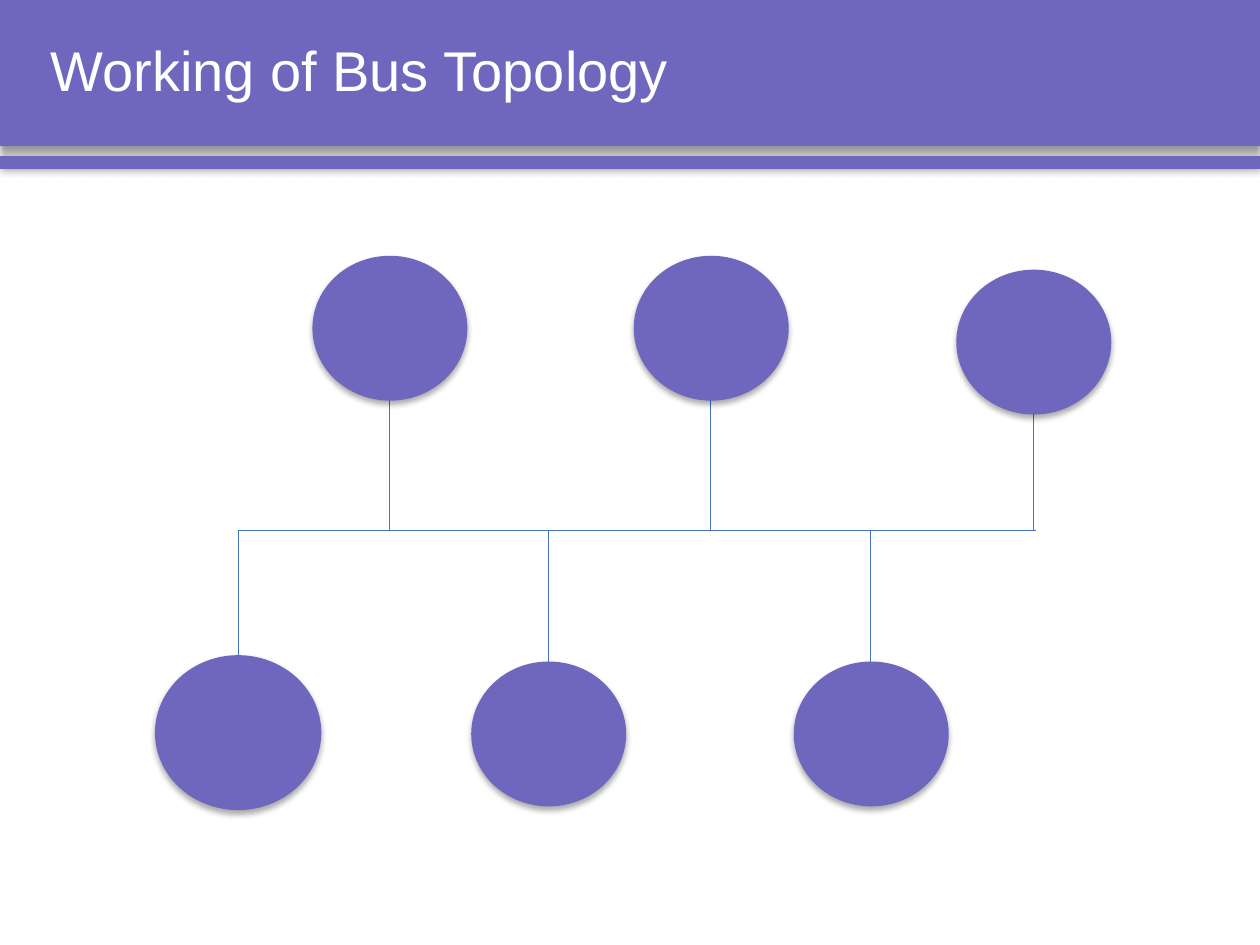
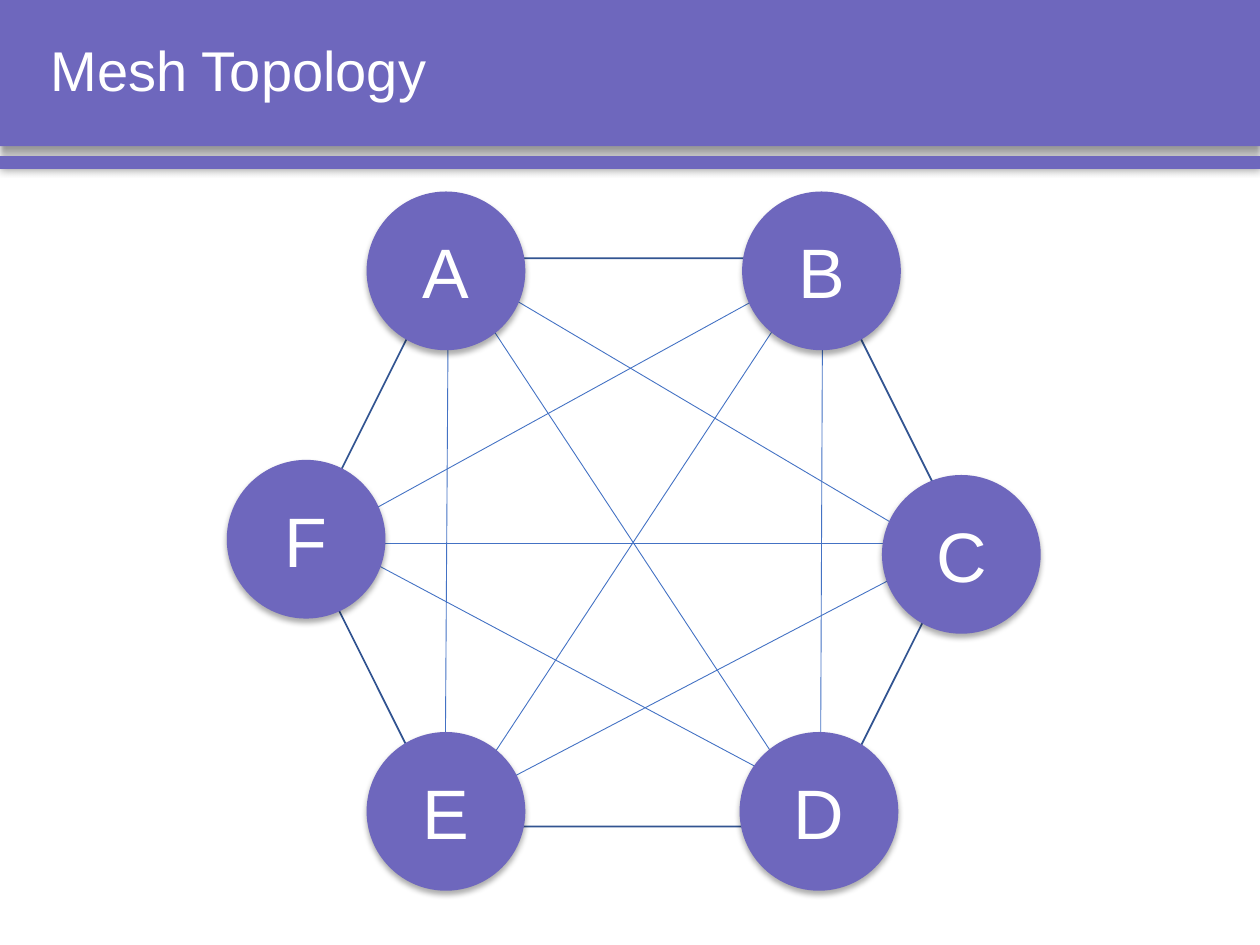
"""Build two slides that show a bus network and a mesh network."""
from dataclasses import dataclass

from lxml import etree
from pptx import Presentation
from pptx import util as u
from pptx.dml.color import RGBColor
from pptx.enum import shapes, text
from pptx.oxml.ns import qn

PX = 9144


@dataclass(frozen=True)
class Theme:
    font: str = "Arial"
    purple: str = "6E67BD"
    white: str = "FFFFFF"
    black: str = "000000"
    link: str = "4472C4"
    ring: str = "325491"
    title_size: int = 32
    letter_size: int = 40
    link_width: float = 0.5
    ring_width: float = 1


THEME = Theme()
PAGE_SIZE = (1000, 750)
TITLE_BOX = (30, 0, 946, 116)
NODE_SHADOW = (32, 3.5, 2.2, 90)
BANDS = [((0, 0, 1000, 116), (40, 4, 3, 90)),
         ((0, 124, 1000, 10), (40, 5, 0, 0))]

BUS_TITLE = "Working of Bus Topology"
BUS_LINE = (822, 421, 189, 421)
BUS_NODES = [(248, 203, 123, 115), (503, 203, 123, 115), (759, 214, 123, 115),
             (123, 520, 132, 123), (374, 525, 123, 115), (630, 525, 123, 115)]

MESH_TITLE = "Mesh Topology"
MESH_RING = (242, 205, 522, 451)
MESH_NODE_SIZE = 126
MESH_NODES = {"A": (291, 152), "B": (589, 152), "C": (700, 377),
              "D": (587, 581), "E": (291, 581), "F": (180, 365)}
MESH_LINKS = [(263, 429, 642, 631), (268, 420, 650, 210), (764, 431, 242, 431),
              (354, 656, 651, 205), (651, 656, 354, 205), (356, 205, 353, 666),
              (653, 205, 651, 666), (353, 205, 750, 440), (372, 635, 781, 421)]


def emu(lengths):
    return [length * PX for length in lengths]


def rgb(name):
    return RGBColor.from_string(name)


def style_text(frame, size):
    frame.vertical_anchor = text.MSO_ANCHOR.MIDDLE
    font = frame.paragraphs[0].runs[0].font
    font.name, font.size, font.color.rgb = THEME.font, u.Pt(size), rgb(THEME.white)


def add_shadow(shape, alpha, blur, distance, angle):
    shape.shadow.inherit = False
    effects = shape.element.spPr.find(qn("a:effectLst"))
    shadow = etree.SubElement(effects, qn("a:outerShdw"), blurRad=str(u.Pt(blur)),
                              dist=str(u.Pt(distance)), dir=str(angle * 60000),
                              algn="ctr", rotWithShape="0")
    color = etree.SubElement(shadow, qn("a:srgbClr"), val=THEME.black)
    etree.SubElement(color, qn("a:alpha"), val=str(alpha * 1000))


def add_solid(page, kind, box, shadow):
    shape = page.shapes.add_shape(kind, *emu(box))
    shape.fill.solid()
    shape.fill.fore_color.rgb = rgb(THEME.purple)
    shape.line.fill.background()
    add_shadow(shape, *shadow)
    return shape


def add_node(page, box, letter=""):
    node = add_solid(page, shapes.MSO_SHAPE.OVAL, box, NODE_SHADOW)
    if letter:
        node.text_frame.text = letter
        node.text_frame.paragraphs[0].alignment = text.PP_ALIGN.CENTER
        style_text(node.text_frame, THEME.letter_size)


def add_link(page, ends):
    link = page.shapes.add_connector(shapes.MSO_CONNECTOR.STRAIGHT, *emu(ends))
    link.line.color.rgb = rgb(THEME.link)
    link.line.width = u.Pt(THEME.link_width)
    etree.SubElement(link.element.spPr, qn("a:effectLst"))


def add_page(deck, title):
    page = deck.slides.add_slide(deck.slide_layouts.get_by_name("Title Only"))
    box = page.shapes.title
    box.left, box.top, box.width, box.height = emu(TITLE_BOX)
    frame = box.text_frame
    frame.text = title
    frame.word_wrap = True
    frame.auto_size = text.MSO_AUTO_SIZE.NONE
    frame.paragraphs[0].alignment = text.PP_ALIGN.LEFT
    frame.paragraphs[0].line_spacing = 0.9
    style_text(frame, THEME.title_size)
    return page


def move_bands_to_layout(page):
    layout = page.slide_layout
    tree = layout.shapes.element
    for holder in list(layout.placeholders):
        if holder.placeholder_format.idx:
            tree.remove(holder.element)
    for position, (box, shadow) in enumerate(BANDS, start=2):
        band = add_solid(page, shapes.MSO_SHAPE.RECTANGLE, box, shadow)
        tree.insert(position, band.element)
        band.element.nvSpPr.cNvPr.set("id", str(position + 8))


def draw_bus(page):
    add_link(page, BUS_LINE)
    bus_y = BUS_LINE[1]
    for left, top, width, height in BUS_NODES:
        center = left + width // 2
        add_link(page, (center, bus_y, center, top + height // 2))
        add_node(page, (left, top, width, height))


def draw_mesh(page):
    ring = page.shapes.add_shape(shapes.MSO_SHAPE.HEXAGON, *emu(MESH_RING))
    ring.shadow.inherit = False
    ring.fill.background()
    ring.line.color.rgb = rgb(THEME.ring)
    ring.line.width = u.Pt(THEME.ring_width)
    for ends in MESH_LINKS:
        add_link(page, ends)
    for letter, corner in MESH_NODES.items():
        add_node(page, (*corner, MESH_NODE_SIZE, MESH_NODE_SIZE), letter)


def main():
    deck = Presentation()
    deck.slide_width, deck.slide_height = emu(PAGE_SIZE)
    bus_page = add_page(deck, BUS_TITLE)
    move_bands_to_layout(bus_page)
    draw_bus(bus_page)
    draw_mesh(add_page(deck, MESH_TITLE))
    deck.save("out.pptx")


if __name__ == "__main__":
    main()
